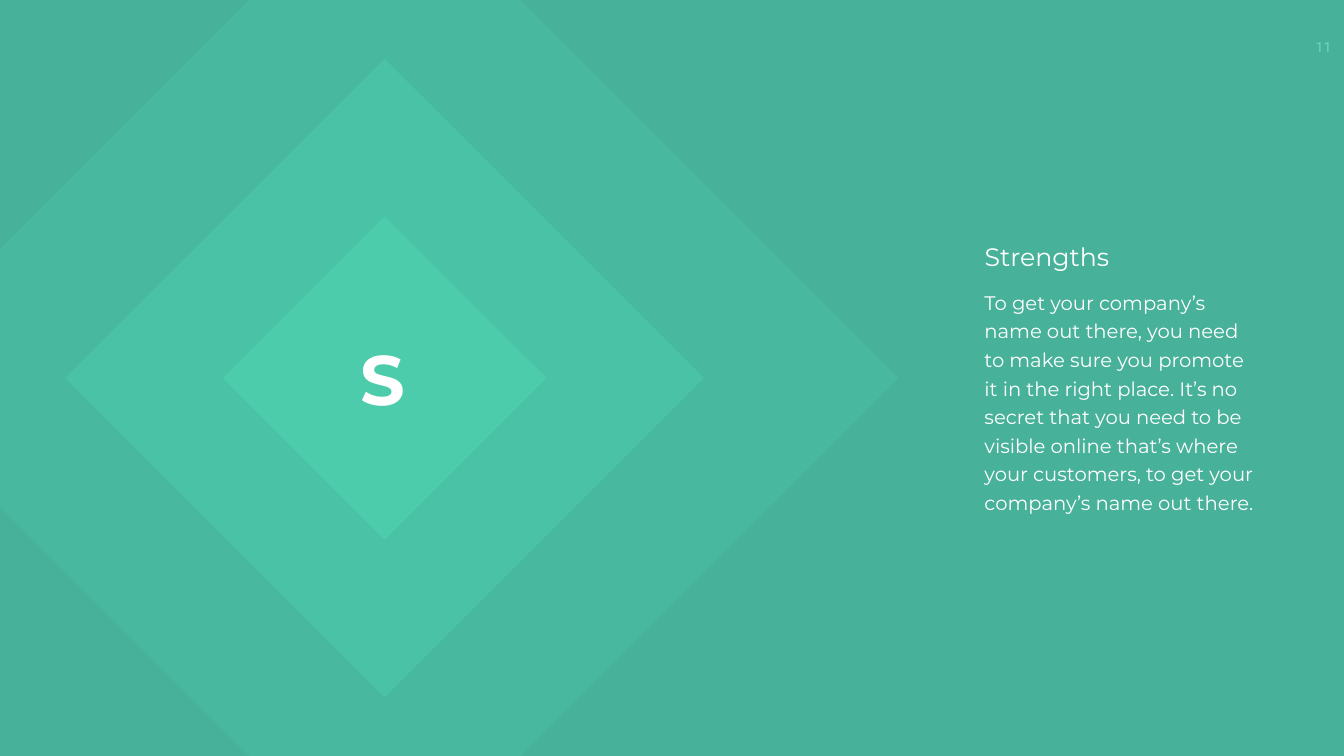
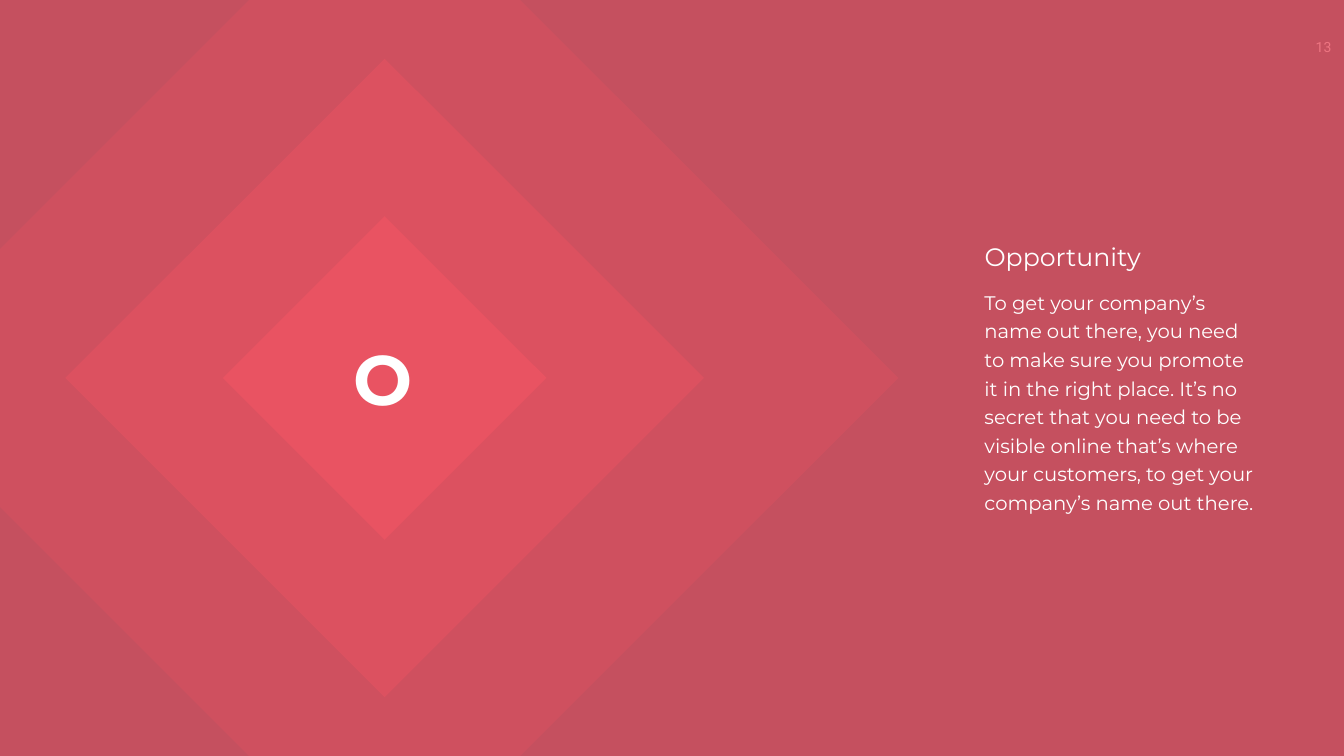
import pptx
import pptx.dml.color
import pptx.enum.shapes
import pptx.enum.text
import pptx.oxml
import pptx.oxml.ns
import pptx.util
from pptx.util import Inches

NAVY = pptx.dml.color.RGBColor(0x36, 0x45, 0x56)
GREEN = pptx.dml.color.RGBColor(0x4C, 0xCC, 0xAB)
RED = pptx.dml.color.RGBColor(0xE9, 0x53, 0x62)
WHITE = pptx.dml.color.RGBColor(0xFF, 0xFF, 0xFF)

SLIDE_WIDTH, SLIDE_HEIGHT = 26.66, 15
CENTER_X, CENTER_Y = 7.63, 7.5
DIAMONDS = [(14.41, 30), (8.96, 50), (4.54, 100)]  # side, opacity in percent
BODY = (
    "To get your company’s name out there, you need to make sure you promote "
    "it in the right place. It’s no secret that you need to be visible online "
    "that’s where your customers, to get your company’s name out there."
)
SLIDES = [
    ("11", "S", "Strengths", GREEN),
    ("13", "O", "Opportunity", RED),
]


def add_rectangle(slide, left, top, width, height, color, opacity):
    """Add a borderless rectangle with its opacity given in percent."""
    shape = slide.shapes.add_shape(
        pptx.enum.shapes.MSO_SHAPE.RECTANGLE,
        Inches(left), Inches(top), Inches(width), Inches(height),
    )
    shape.shadow.inherit = False
    shape.line.fill.background()
    shape.fill.solid()
    shape.fill.fore_color.rgb = color
    if opacity < 100:
        fill_color = shape.element.spPr.find(".//" + pptx.oxml.ns.qn("a:srgbClr"))
        alpha = fill_color.makeelement(
            pptx.oxml.ns.qn("a:alpha"), {"val": str(opacity * 1000)}
        )
        fill_color.append(alpha)
    return shape


def write_text(shape, box, text, size, alignment, font_name="Montserrat"):
    """Place a text shape, fill it with one white run and return its paragraph."""
    shape.left, shape.top, shape.width, shape.height = map(Inches, box)
    frame = shape.text_frame
    frame.word_wrap = True
    frame.auto_size = pptx.enum.text.MSO_AUTO_SIZE.SHAPE_TO_FIT_TEXT
    frame.vertical_anchor = pptx.enum.text.MSO_ANCHOR.TOP
    paragraph = frame.paragraphs[0]
    paragraph.alignment = alignment
    run = paragraph.add_run()
    run.text = text
    run.font.name = font_name
    run.font.size = pptx.util.Pt(size)
    run.font.color.rgb = WHITE
    return paragraph


LEFT = pptx.enum.text.PP_ALIGN.LEFT
CENTER = pptx.enum.text.PP_ALIGN.CENTER

presentation = pptx.Presentation()
presentation.slide_width = Inches(SLIDE_WIDTH)
presentation.slide_height = Inches(SLIDE_HEIGHT)
title_only = presentation.slide_layouts[5]
background = presentation.slide_master.background.fill
background.solid()
background.fore_color.rgb = NAVY

for page, letter, heading, color in SLIDES:
    slide = presentation.slides.add_slide(title_only)

    # The page number lies under the translucent veil, which tints it
    number = slide.shapes.add_textbox(0, 0, 0, 0)
    write_text(number, (25.88, 0.67, 0.91, 0.54), page, 20, CENTER, "Roboto")
    number.text_frame.word_wrap = False
    number.text_frame.margin_left = Inches(0.2)
    number.text_frame.margin_right = Inches(0.36)
    number.text_frame.margin_top = number.text_frame.margin_bottom = Inches(0.1)

    add_rectangle(slide, 0, 0, SLIDE_WIDTH, SLIDE_HEIGHT, color, 80)
    for side, opacity in DIAMONDS:
        diamond = add_rectangle(
            slide, CENTER_X - side / 2, CENTER_Y - side / 2, side, side, color, opacity
        )
        diamond.rotation = 45

    initial = slide.shapes.add_textbox(0, 0, 0, 0)
    paragraph = write_text(initial, (6.1, 6.61, 2.98, 1.78), letter, 100, CENTER)
    run = paragraph.runs[0]
    run.font.bold = True
    run.font.element.set("spc", "300") if hasattr(run.font, "element") else (
        paragraph.runs[0]._r.get_or_add_rPr().set("spc", "300")
    )

    body = slide.shapes.add_textbox(0, 0, 0, 0)
    paragraph = write_text(body, (19.43, 5.62, 5.63, 4.65), BODY, 28, LEFT)
    paragraph.line_spacing = pptx.util.Pt(40.8)

    # Bring the title in front of the veil
    title = slide.shapes.title
    title.element.getparent().append(title.element)
    write_text(title, (19.43, 4.73, 4.81, 0.71), heading, 36, LEFT)

presentation.save("out.pptx")
